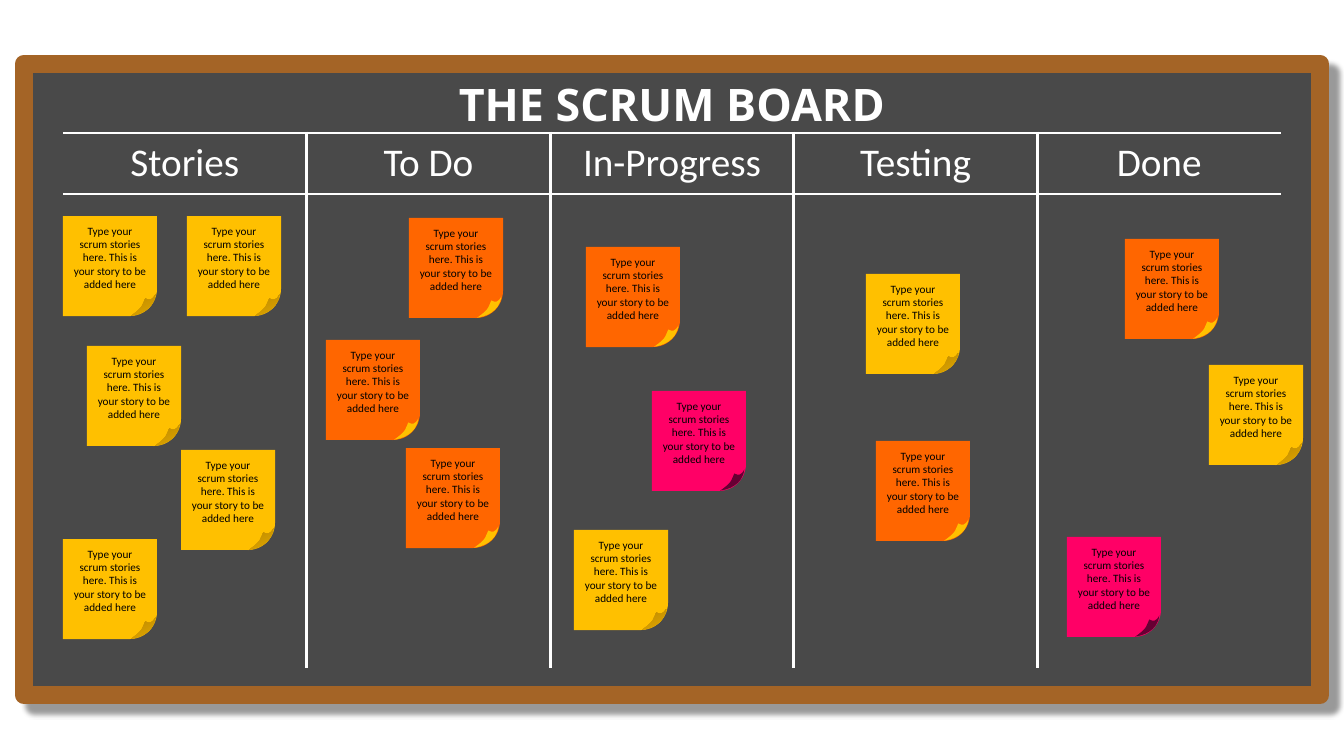
from dataclasses import dataclass

from pptx import Presentation
from pptx.dml.color import RGBColor
from pptx.enum.shapes import MSO_SHAPE
from pptx.enum.text import MSO_ANCHOR, PP_ALIGN
from pptx.oxml import parse_xml
from pptx.oxml.ns import nsdecls, qn
from pptx.util import Pt

RECT = MSO_SHAPE.RECTANGLE
SNIP = MSO_SHAPE.SNIP_ROUND_RECTANGLE
MIDDLE = MSO_ANCHOR.MIDDLE
TOP = MSO_ANCHOR.TOP
CENTER = PP_ALIGN.CENTER

SCALE = 12192000 / 1344


@dataclass(frozen=True)
class Theme:
    board: str = "494949"
    frame: str = "A46426"
    chalk: str = "FFFFFF"
    ink: str = "000000"
    yellow: str = "FFC000"
    orange: str = "FF6600"
    pink: str = "FF0066"
    plum: str = "660033"
    light: str = "E6AA00"
    dark: str = "C79200"
    head: str = "Open Sans"
    body: str = "Calibri"
    title: int = 32
    label: int = 28
    note: int = 8
    rim: float = 13.25
    rule: float = 2.25


THEME = Theme()
STORY = "Type your scrum stories here. This is your story to be added here"
LABELS = ["Stories", "To Do", "In-Progress", "Testing", "Done"]
FOLDS = {
    THEME.yellow: (THEME.light, THEME.dark),
    THEME.orange: (THEME.yellow,),
    THEME.pink: (THEME.plum,),
}
NOTES = [
    (63, 216, THEME.yellow), (187, 216, THEME.yellow), (87, 346, THEME.yellow),
    (181, 450, THEME.yellow), (63, 539, THEME.yellow),
    (326, 340, THEME.orange), (406, 448, THEME.orange), (586, 247, THEME.orange),
    (876, 441, THEME.orange), (1125, 239, THEME.orange), (409, 218, THEME.orange),
    (574, 530, THEME.yellow), (866, 274, THEME.yellow), (1209, 365, THEME.yellow),
    (652, 391, THEME.pink), (1067, 537, THEME.pink),
]
START = (310, 7)
CURL = [
    [(256, 49), (229, 36), (202, 0)],
    [(148, 41), (157, 68), (0, 93)],
    [(68, 115), (222, 144), START],
]


def px(*sizes):
    return [round(size * SCALE) for size in sizes]


def rgb(code):
    return RGBColor.from_string(code)


def write(frame, text, size, color, font=THEME.body, bold=False, anchor=TOP):
    frame.word_wrap = True
    frame.vertical_anchor = anchor
    para = frame.paragraphs[0]
    para.alignment = CENTER
    run = para.add_run()
    run.text = text
    run.font.name = font
    run.font.size = Pt(size)
    run.font.bold = bold
    run.font.color.rgb = rgb(color)


def paint(shape, color):
    shape.shadow.inherit = False
    shape.fill.solid()
    shape.fill.fore_color.rgb = rgb(color)
    shape.line.fill.background()


def block(shapes, kind, box, color):
    shape = shapes.add_shape(kind, *px(*box))
    paint(shape, color)
    return shape


def effect(shape, xml):
    shape.element.find(".//" + qn("a:effectLst")).append(parse_xml(xml))


def board(slide, box):
    shape = block(slide.shapes, RECT, box, THEME.board)
    shape.line.color.rgb = rgb(THEME.frame)
    shape.line.width = Pt(THEME.rim)
    effect(shape, f'<a:outerShdw {nsdecls("a")} blurRad="{Pt(4)}" dist="{Pt(10)}" '
                  f'dir="2700000" algn="tl" rotWithShape="0"><a:srgbClr val="{THEME.ink}">'
                  '<a:alpha val="40000"/></a:srgbClr></a:outerShdw>')


def heading(slide, box):
    title = slide.shapes.title
    title.left, title.top, title.width, title.height = px(*box)
    write(title.text_frame, "THE SCRUM BOARD", THEME.title, THEME.chalk,
          font=THEME.head, bold=True, anchor=MIDDLE)
    title.element.getparent().append(title.element)


def border(cell, shown):
    props = cell._tc.get_or_add_tcPr()
    for spot, side in enumerate("LRTB"):
        fill = "<a:noFill/>"
        if side in shown:
            fill = f'<a:solidFill><a:srgbClr val="{THEME.chalk}"/></a:solidFill>'
        props.insert(spot, parse_xml(
            f'<a:ln{side} {nsdecls("a")} w="{Pt(THEME.rule)}">{fill}</a:ln{side}>'))


def lanes(slide, box, head):
    count = len(LABELS)
    grid = slide.shapes.add_table(2, count, *px(*box)).table
    grid.first_row = grid.horz_banding = False
    grid.rows[0].height, grid.rows[1].height = px(head, box[3] - head)
    for col, label in enumerate(LABELS):
        grid.columns[col].width = px(box[2] / count)[0]
        sides = ("L" if col else "") + ("R" if col < count - 1 else "")
        for row, edges in enumerate(("TB", "T")):
            cell = grid.cell(row, col)
            cell.fill.background()
            border(cell, sides + edges)
        top = grid.cell(0, col)
        write(top.text_frame, label, THEME.label, THEME.chalk)
        top.vertical_anchor = MIDDLE


def dot(spot):
    return f'<a:pt x="{spot[0]}" y="{spot[1]}"/>'


def fold(shapes, box, tones):
    x, y, w, h = box
    pen = shapes.build_freeform(*px(x, y))
    pen.add_line_segments(
        [px(x + w, y), px(x + w, y + h), px(x, y + h)], close=True)
    shape = pen.convert_to_shape()
    curves = "".join(
        f'<a:cubicBezTo>{"".join(map(dot, curve))}</a:cubicBezTo>' for curve in CURL)
    edge = shape.element.find(".//" + qn("a:path"))
    edge.getparent().replace(edge, parse_xml(
        f'<a:path {nsdecls("a")} w="{w * 10}" h="{h * 10}">'
        f'<a:moveTo>{dot(START)}</a:moveTo>{curves}<a:close/></a:path>'))
    shape.rotation = 334.3
    paint(shape, tones[0])
    if len(tones) > 1:
        shape.fill.gradient()
        shape.fill.gradient_angle = 90
        for stop, tone, place in zip(shape.fill.gradient_stops, tones, (0, 0.69)):
            stop.color.rgb = rgb(tone)
            stop.position = place


def note(slide, box, color):
    x, y, w, h = box
    shapes = slide.shapes.add_group_shape().shapes
    shade = block(shapes, RECT, (x + 3, y + 30, w + 18, h - 5), THEME.ink)
    shade.rotation = 357.3
    tint = shade.element.spPr.find(".//" + qn("a:srgbClr"))
    tint.append(parse_xml(f'<a:alpha {nsdecls("a")} val="48000"/>'))
    effect(shade, f'<a:softEdge {nsdecls("a")} rad="{px(35)[0]}"/>')
    sheet = block(shapes, SNIP, box, color)
    sheet.adjustments[0] = 0.29
    sheet.adjustments[1] = 0
    sheet.rotation = 180
    fold(shapes, (x + w - 29, y + h - 16, 31, 11), FOLDS[color])
    text = shapes.add_textbox(*px(x, y + 3, w, h - 22))
    write(text.text_frame, STORY, THEME.note, THEME.ink)


def main():
    deck = Presentation()
    deck.slide_width, deck.slide_height = px(1344, 756)
    slide = deck.slides.add_slide(deck.slide_layouts[5])
    board(slide, (24, 64, 1296, 631))
    lanes(slide, (63, 133, 1218, 535), 61)
    heading(slide, (63, 72, 1218, 64))
    for x, y, color in NOTES:
        note(slide, (x, y, 94, 100), color)
    deck.save("out.pptx")


if __name__ == "__main__":
    main()
